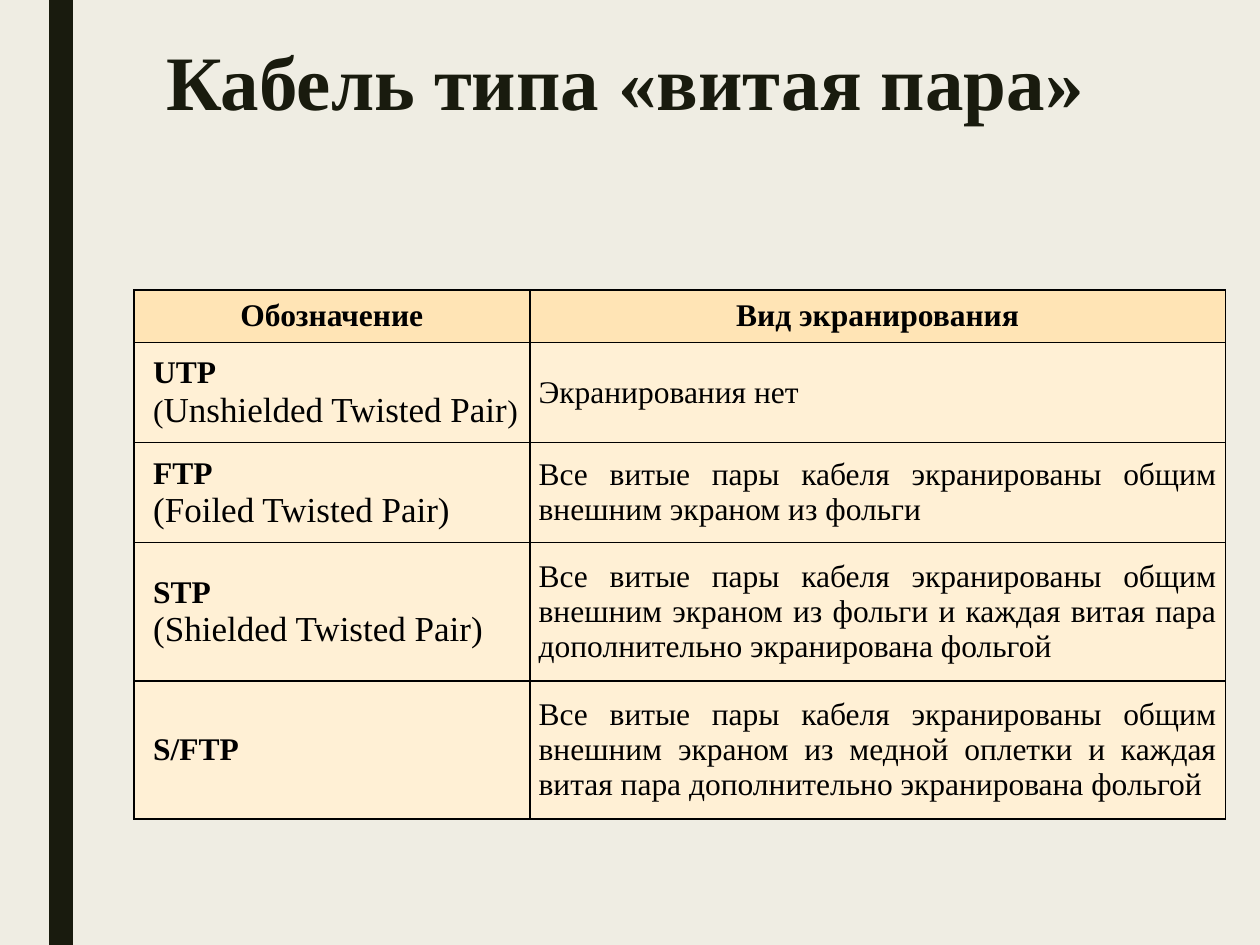
from dataclasses import dataclass

from lxml import etree
from pptx import Presentation
from pptx.dml.color import RGBColor
from pptx.enum.shapes import MSO_SHAPE
from pptx.enum.text import MSO_ANCHOR, PP_ALIGN
from pptx.oxml.ns import qn
from pptx.util import Pt

RECTANGLE = MSO_SHAPE.RECTANGLE
MIDDLE = MSO_ANCHOR.MIDDLE
CENTER = PP_ALIGN.CENTER
JUSTIFY = PP_ALIGN.JUSTIFY
BORDER_SIDES = ("a:lnL", "a:lnR", "a:lnT", "a:lnB")


@dataclass(frozen=True)
class Theme:
    font: str = "Times New Roman"
    background: str = "EFEDE3"
    dark: str = "191B0E"
    black: str = "000000"
    header_fill: str = "FFE4B5"
    body_fill: str = "FFF0D5"
    title_size: int = 44
    name_size: int = 20
    body_size: int = 18


class SlideBuilder:
    def __init__(self, slide, theme):
        self.slide = slide
        self.theme = theme
        self.paint(slide.background.fill, theme.background)

    def paint(self, fill, color):
        fill.solid()
        fill.fore_color.rgb = RGBColor.from_string(color)

    def style(self, paragraph, size, color, bold):
        font = paragraph.font
        font.name = self.theme.font
        font.size = Pt(size)
        font.bold = bold
        font.color.rgb = RGBColor.from_string(color)

    def bar(self, left, top, width, height):
        stripe = self.slide.shapes.add_shape(
            RECTANGLE, Pt(left), Pt(top), Pt(width), Pt(height))
        stripe.shadow.inherit = False
        self.paint(stripe.fill, self.theme.dark)
        stripe.line.fill.background()

    def title(self, text, left, top, width, height):
        heading = self.slide.shapes.add_textbox(
            Pt(left), Pt(top), Pt(width), Pt(height)).text_frame
        heading.word_wrap = True
        heading.margin_top = Pt(8)
        paragraph = heading.paragraphs[0]
        paragraph.text = text
        paragraph.line_spacing = 0.89
        self.style(paragraph, self.theme.title_size, self.theme.dark, True)

    def table(self, header, rows, left, top, widths, heights):
        grid = self.slide.shapes.add_table(
            len(heights), len(widths), Pt(left), Pt(top),
            Pt(sum(widths)), Pt(sum(heights))).table
        grid.first_row = False
        grid.horz_banding = False
        for column, width in zip(grid.columns, widths):
            column.width = Pt(width)
        for row, height in zip(grid.rows, heights):
            row.height = Pt(height)
        for index, label in enumerate(header):
            self.cell(grid.cell(0, index), self.theme.header_fill)
            self.line(grid.cell(0, index), [label], CENTER, bold=True)
        for index, (code, name, shielding, name_bracket_size) in enumerate(rows, 1):
            kind, screen = grid.cell(index, 0), grid.cell(index, 1)
            self.cell(kind, self.theme.body_fill)
            self.cell(screen, self.theme.body_fill)
            self.line(kind, [code], JUSTIFY, bold=True, indent=6)
            if name:
                kind.text_frame.add_paragraph()
                self.line(kind, ["(", name, ")"], JUSTIFY,
                          size=self.theme.name_size, indent=6,
                          bracket_size=name_bracket_size)
            self.line(screen, [shielding], JUSTIFY)

    def cell(self, cell, color):
        cell.vertical_anchor = MIDDLE
        cell.margin_left = cell.margin_right = Pt(5)
        cell.margin_top = cell.margin_bottom = Pt(3)
        properties = cell._tc.get_or_add_tcPr()
        for side in BORDER_SIDES:
            border = etree.SubElement(properties, qn(side), w=str(Pt(1)))
            solid = etree.SubElement(border, qn("a:solidFill"))
            etree.SubElement(solid, qn("a:srgbClr"), val=self.theme.black)
        self.paint(cell.fill, color)

    def line(self, cell, parts, align, bold=False, size=None, indent=0,
             bracket_size=None):
        paragraph = cell.text_frame.paragraphs[-1]
        paragraph.alignment = align
        self.style(paragraph, size or self.theme.body_size, self.theme.black, bold)
        if indent:
            paragraph._p.get_or_add_pPr().set("marL", str(Pt(indent)))
        if not bracket_size:
            parts = ["".join(parts)]
        for part in parts:
            run = paragraph.add_run()
            run.text = part
            if bracket_size and part in "()":
                run.font.size = Pt(bracket_size)


def main():
    theme = Theme()
    deck = Presentation()
    deck.slide_width, deck.slide_height = Pt(720), Pt(540)
    builder = SlideBuilder(deck.slides.add_slide(deck.slide_layouts[6]), theme)

    builder.bar(28, 0, 13.7, 540)
    common = "Все витые пары кабеля экранированы общим внешним экраном из "
    extra = " и каждая витая пара дополнительно экранирована фольгой"
    cables = [
        ("UTP", "Unshielded Twisted Pair", "Экранирования нет", theme.body_size),
        ("FTP", "Foiled Twisted Pair", common + "фольги", None),
        ("STP", "Shielded Twisted Pair", common + "фольги" + extra, None),
        ("S/FTP", None, common + "медной оплетки" + extra, None),
    ]
    builder.table(("Обозначение", "Вид экранирования"), cables, 76.5, 165.6,
                  widths=(226.3, 397.4), heights=(30.2, 57.2, 57.2, 79, 79))
    builder.title("Кабель типа «витая пара»", 87.8, 17.3, 567.4, 66.2)
    deck.save("out.pptx")


if __name__ == "__main__":
    main()
